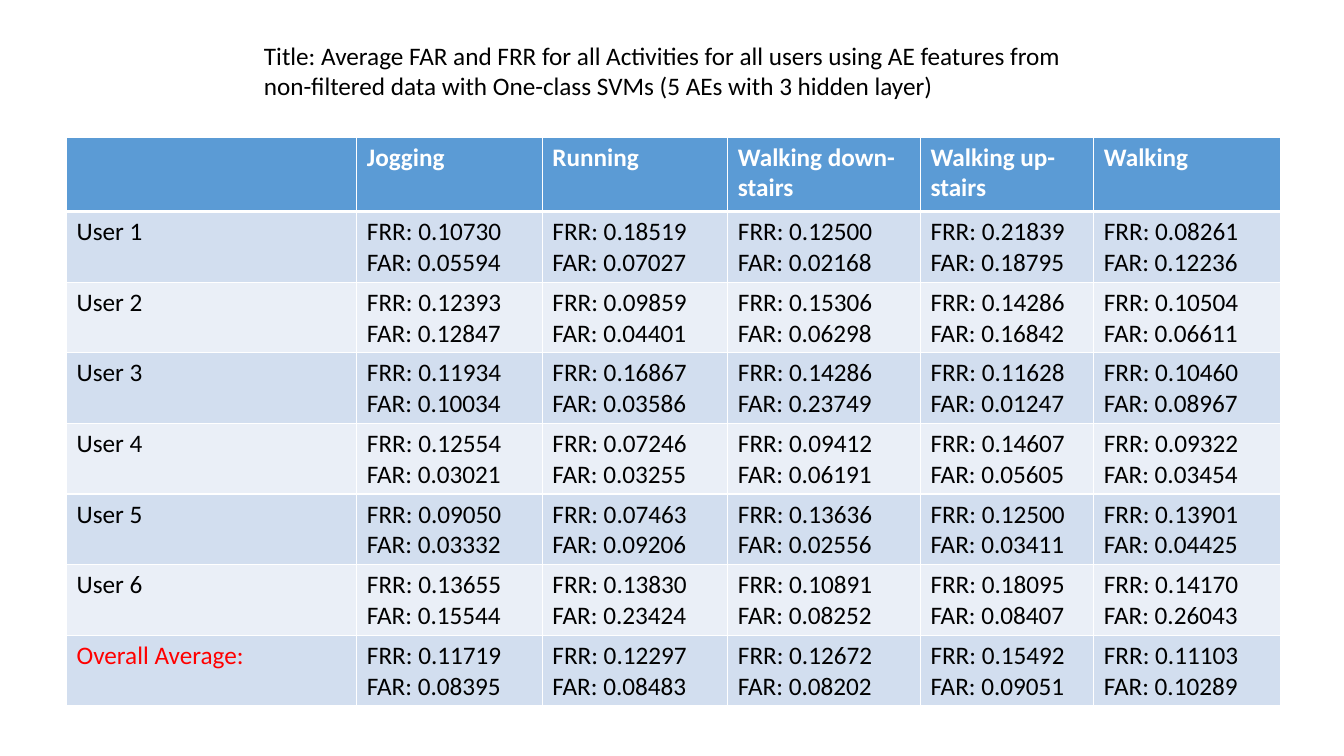
from dataclasses import dataclass

from lxml.etree import SubElement
from pptx import Presentation
from pptx.dml.color import RGBColor
from pptx.enum.text import MSO_AUTO_SIZE
from pptx.oxml.ns import qn
from pptx.util import Inches, Pt


@dataclass(frozen=True)
class Theme:
    """Colours, font and sizes used on the slide."""

    font: str = "Calibri"
    size: int = 18
    ink: str = "000000"
    light: str = "FFFFFF"
    accent: str = "FF0000"
    header: str = "5B9BD5"
    bands: tuple = ("D2DEEF", "EAEFF7")
    thin: int = 1
    thick: int = 3


THEME = Theme()
TITLE = (
    "Title: Average FAR and FRR for all Activities for all users using AE features "
    "from non-filtered data with One-class SVMs (5 AEs with 3 hidden layer)"
)
ACTIVITIES = ["", "Jogging", "Running", "Walking down-stairs", "Walking up-stairs", "Walking"]
COLUMN_WIDTHS = [2.88, 1.84, 1.84, 1.91, 1.72, 1.85]
HEADER_HEIGHT = 0.74
RATES = {
    "User 1": [(0.10730, 0.05594), (0.18519, 0.07027), (0.12500, 0.02168),
               (0.21839, 0.18795), (0.08261, 0.12236)],
    "User 2": [(0.12393, 0.12847), (0.09859, 0.04401), (0.15306, 0.06298),
               (0.14286, 0.16842), (0.10504, 0.06611)],
    "User 3": [(0.11934, 0.10034), (0.16867, 0.03586), (0.14286, 0.23749),
               (0.11628, 0.01247), (0.10460, 0.08967)],
    "User 4": [(0.12554, 0.03021), (0.07246, 0.03255), (0.09412, 0.06191),
               (0.14607, 0.05605), (0.09322, 0.03454)],
    "User 5": [(0.09050, 0.03332), (0.07463, 0.09206), (0.13636, 0.02556),
               (0.12500, 0.03411), (0.13901, 0.04425)],
    "User 6": [(0.13655, 0.15544), (0.13830, 0.23424), (0.10891, 0.08252),
               (0.18095, 0.08407), (0.14170, 0.26043)],
    "Overall Average:": [(0.11719, 0.08395), (0.12297, 0.08483), (0.12672, 0.08202),
                         (0.15492, 0.09051), (0.11103, 0.10289)],
}


def write_text(frame, text, colour, bold=False):
    """Fill a text frame and format all its runs."""
    frame.text = text
    for para in frame.paragraphs:
        for span in para.runs:
            span.font.name = THEME.font
            span.font.size = Pt(THEME.size)
            span.font.bold = bold
            span.font.color.rgb = RGBColor.from_string(colour)


def draw_borders(cell, top, bottom):
    """Give a cell white borders, with the top and bottom widths in points."""
    properties = cell._tc.get_or_add_tcPr()
    sides = {"a:lnL": THEME.thin, "a:lnR": THEME.thin, "a:lnT": top, "a:lnB": bottom}
    for side, width in sides.items():
        line = SubElement(properties, qn(side), w=str(Pt(width)))
        SubElement(SubElement(line, qn("a:solidFill")), qn("a:srgbClr"), val=THEME.light)


def style_cell(cell, row):
    """Set the borders and fill that belong to a row."""
    draw_borders(
        cell,
        top=THEME.thick if row == 1 else THEME.thin,
        bottom=THEME.thick if row == 0 else THEME.thin,
    )
    fill = THEME.header if row == 0 else THEME.bands[(row - 1) % 2]
    cell.fill.solid()
    cell.fill.fore_color.rgb = RGBColor.from_string(fill)


def add_title(slide, left, top, width, height):
    """Place the title text in its box."""
    box = slide.shapes.add_textbox(Inches(left), Inches(top), Inches(width), Inches(height))
    box.text_frame.word_wrap = True
    box.text_frame.auto_size = MSO_AUTO_SIZE.SHAPE_TO_FIT_TEXT
    write_text(box.text_frame, TITLE, THEME.ink)


def add_rates_table(slide, left, top, width, height):
    """Place the table of error rates by user and activity in its box."""
    contents = [ACTIVITIES]
    for user, pairs in RATES.items():
        contents.append([user] + [f"FRR: {frr:.5f}\nFAR: {far:.5f}" for frr, far in pairs])
    table = slide.shapes.add_table(
        len(contents), len(ACTIVITIES), Inches(left), Inches(top), Inches(width), Inches(height)
    ).table
    for column, share in zip(table.columns, COLUMN_WIDTHS):
        column.width = Inches(width * share / sum(COLUMN_WIDTHS))
    for row, texts in enumerate(contents):
        body_height = (height - HEADER_HEIGHT) / len(RATES)
        table.rows[row].height = Inches(HEADER_HEIGHT if row == 0 else body_height)
        for column, text in enumerate(texts):
            cell = table.cell(row, column)
            style_cell(cell, row)
            colour = THEME.light if row == 0 else THEME.ink
            if text.startswith("Overall"):
                colour = THEME.accent
            write_text(cell.text_frame, text, colour, bold=row == 0)


def main():
    """Build the deck and save it."""
    deck = Presentation()
    deck.slide_width = Inches(13.33)
    deck.slide_height = Inches(7.5)
    slide = deck.slides.add_slide(deck.slide_layouts[6])
    add_title(slide, 2.52, 0.35, 8.13, 0.71)
    add_rates_table(slide, 0.66, 1.36, 12.04, 5.64)
    deck.save("out.pptx")


if __name__ == "__main__":
    main()
